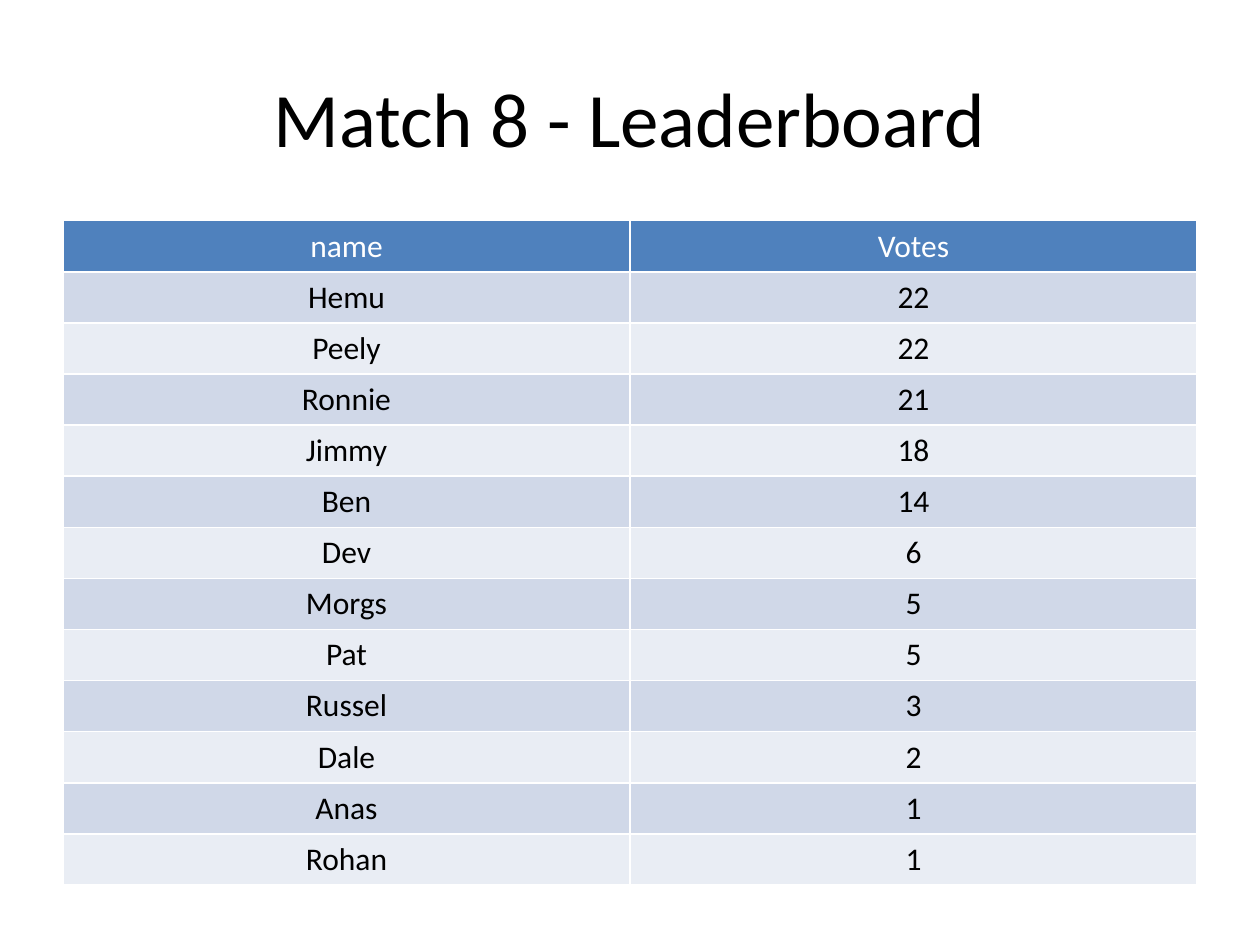
from pptx import Presentation
from pptx.dml.color import RGBColor
from pptx.enum.text import MSO_ANCHOR, PP_ALIGN
from pptx.util import Cm, Pt

TITLE = "Match 8 - Leaderboard"
HEAD = ("name", "Votes")
SCORES = [
    ("Hemu", 22),
    ("Peely", 22),
    ("Ronnie", 21),
    ("Jimmy", 18),
    ("Ben", 14),
    ("Dev", 6),
    ("Morgs", 5),
    ("Pat", 5),
    ("Russel", 3),
    ("Dale", 2),
    ("Anas", 1),
    ("Rohan", 1),
]
BLUE, WHITE, BLACK = "4F81BD", "FFFFFF", "000000"
BANDS = ("D0D8E8", "E9EDF4")
LEFT, WIDTH = Cm(1.27), Cm(22.86)


def paint(color, code):
    color.rgb = RGBColor.from_string(code)


def write(frame, text, size, code):
    frame.text = str(text)
    par = frame.paragraphs[0]
    par.alignment = PP_ALIGN.CENTER
    par.font.name = "Calibri"
    par.font.size = Pt(size)
    par.font.bold = False
    paint(par.font.color, code)


def add_title(slide):
    title = slide.shapes.title
    title.left, title.top, title.width, title.height = LEFT, Cm(0.76), WIDTH, Cm(3.18)
    title.text_frame.vertical_anchor = MSO_ANCHOR.MIDDLE
    write(title.text_frame, TITLE, 44, BLACK)


def add_scores(slide):
    rows = [HEAD] + SCORES
    table = slide.shapes.add_table(
        len(rows), len(HEAD), LEFT, Cm(4.45), WIDTH, Cm(12.55)
    ).table
    for r, row in enumerate(rows):
        fill, ink = (BANDS[(r - 1) % 2], BLACK) if r else (BLUE, WHITE)
        for c, text in enumerate(row):
            cell = table.cell(r, c)
            cell.fill.solid()
            paint(cell.fill.fore_color, fill)
            write(cell.text_frame, text, 18, ink)


def main():
    deck = Presentation()
    deck.slide_width, deck.slide_height = Cm(25.4), Cm(19.05)
    slide = deck.slides.add_slide(deck.slide_layouts.get_by_name("Title Only"))
    add_title(slide)
    add_scores(slide)
    deck.save("out.pptx")


if __name__ == "__main__":
    main()
